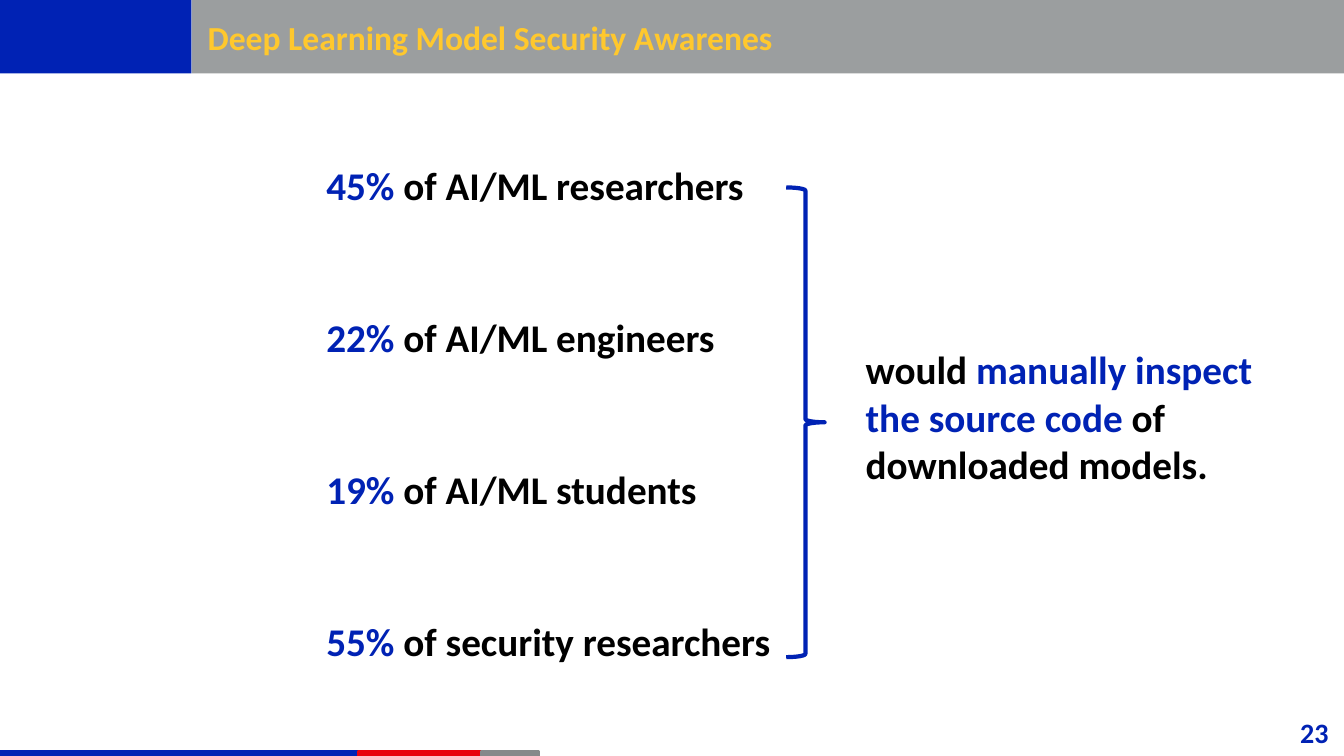
from dataclasses import dataclass

from lxml import etree
from pptx import Presentation
from pptx.dml.color import RGBColor
from pptx.enum.shapes import MSO_SHAPE as Preset
from pptx.enum.text import MSO_ANCHOR as Anchor, MSO_AUTO_SIZE as AutoSize, PP_ALIGN as Align
from pptx.oxml.ns import qn
from pptx.shapes.autoshape import Shape
from pptx.slide import Slide
from pptx.util import Pt

FONT = "Calibri"
BLUE, RED, GREY, YELLOW = "0022B4", "E8000D", "85898A", "FFC82D"
BLACK, WHITE = "000000", "FFFFFF"


@dataclass(frozen=True)
class Box:
    left: float
    top: float
    width: float
    height: float


@dataclass(frozen=True)
class TextRun:
    text: str
    color: str


@dataclass(frozen=True)
class Block:
    box: Box
    fill: str
    line: str | None = None
    line_width: float = 0
    preset: Preset = Preset.RECTANGLE
    opacity: int = 100


@dataclass(frozen=True)
class Finding:
    share: str
    group: str


FOOTER_TOP, FOOTER_HEIGHT = 536.4, 3.6
HEADER_HEIGHT = 52.5
FOOTER = [
    Block(Box(left, FOOTER_TOP, width, FOOTER_HEIGHT), color, color, 2)
    for left, width, color in [(0, 256.3, BLUE), (256.3, 95.8, RED), (344.2, 40.3, GREY)]
]
HEADER = [
    Block(Box(136.8, 0, 823.2, HEADER_HEIGHT), GREY, opacity=82),
    Block(Box(0, 0, 136.8, HEADER_HEIGHT), BLUE),
]
FINDINGS = [
    Finding("45%", "AI/ML researchers"),
    Finding("22%", "AI/ML engineers"),
    Finding("19%", "AI/ML students"),
    Finding("55%", "security researchers"),
]
FIRST_FINDING = Box(226, 98, 471.6, 67.7)
FINDING_PITCH = 108.72
BRACE = Block(Box(561.6, 133.9, 27.4, 335.5), WHITE, BLUE, 3, Preset.RIGHT_BRACE)
CONCLUSION_BOX = Box(611.3, 212.4, 303.8, 170)
CONCLUSION = [
    TextRun("would ", BLACK),
    TextRun("manually inspect the source code", BLUE),
    TextRun(" of downloaded models.", BLACK),
]


def rgb(color: str) -> RGBColor:
    return RGBColor.from_string(color)


def place(shape: Shape, box: Box) -> None:
    shape.left, shape.top = Pt(box.left), Pt(box.top)
    shape.width, shape.height = Pt(box.width), Pt(box.height)


def write(shape: Shape, runs: list[TextRun], size: float, align: Align = Align.LEFT) -> None:
    frame = shape.text_frame
    frame.word_wrap = True
    frame.auto_size = AutoSize.NONE
    frame.vertical_anchor = Anchor.MIDDLE
    paragraph = frame.paragraphs[0]
    paragraph.alignment = align
    for part in runs:
        run = paragraph.add_run()
        run.text = part.text
        run.font.name = FONT
        run.font.size = Pt(size)
        run.font.bold = True
        run.font.color.rgb = rgb(part.color)


def draw_block(slide: Slide, block: Block) -> Shape:
    box = block.box
    shape = slide.shapes.add_shape(
        block.preset, Pt(box.left), Pt(box.top), Pt(box.width), Pt(box.height)
    )
    shape.shadow.inherit = False
    shape.fill.solid()
    shape.fill.fore_color.rgb = rgb(block.fill)
    if block.opacity < 100:
        color = shape.element.spPr.find(qn("a:solidFill")).find(qn("a:srgbClr"))
        etree.SubElement(color, qn("a:alpha"), val=str(block.opacity * 1000))
    if block.line:
        shape.line.color.rgb = rgb(block.line)
        shape.line.width = Pt(block.line_width)
    else:
        shape.line.fill.background()
    return shape


def draw_finding(slide: Slide, index: int, finding: Finding) -> None:
    first = FIRST_FINDING
    box = Box(first.left, first.top + index * FINDING_PITCH, first.width, first.height)
    runs = [TextRun(finding.share, BLUE), TextRun(f" of {finding.group}", BLACK)]
    write(draw_block(slide, Block(box, WHITE)), runs, 28)


def draw_title(slide: Slide) -> None:
    title = slide.shapes.title
    place(title, Box(141.1, 4.3, 629.3, 43.9))
    write(title, [TextRun("Deep Learning Model Security Awarenes", YELLOW)], 24)
    # Bring the title in front of the header band
    title.element.getparent().append(title.element)


def draw_page_number(slide: Slide) -> None:
    number = slide.shapes.add_textbox(Pt(851), Pt(509), Pt(105.1), Pt(28.8))
    write(number, [TextRun("23", BLUE)], 20, Align.RIGHT)


def main() -> None:
    presentation = Presentation()
    presentation.slide_width, presentation.slide_height = Pt(960), Pt(540)
    slide = presentation.slides.add_slide(presentation.slide_layouts.get_by_name("Title Only"))

    # Footer stripe and header band
    for block in FOOTER + HEADER:
        draw_block(slide, block)
    draw_page_number(slide)
    draw_title(slide)

    # Survey findings, brace and conclusion
    for index, finding in enumerate(FINDINGS):
        draw_finding(slide, index, finding)
    draw_block(slide, BRACE)
    write(draw_block(slide, Block(CONCLUSION_BOX, WHITE)), CONCLUSION, 28)

    presentation.save("out.pptx")


if __name__ == "__main__":
    main()
